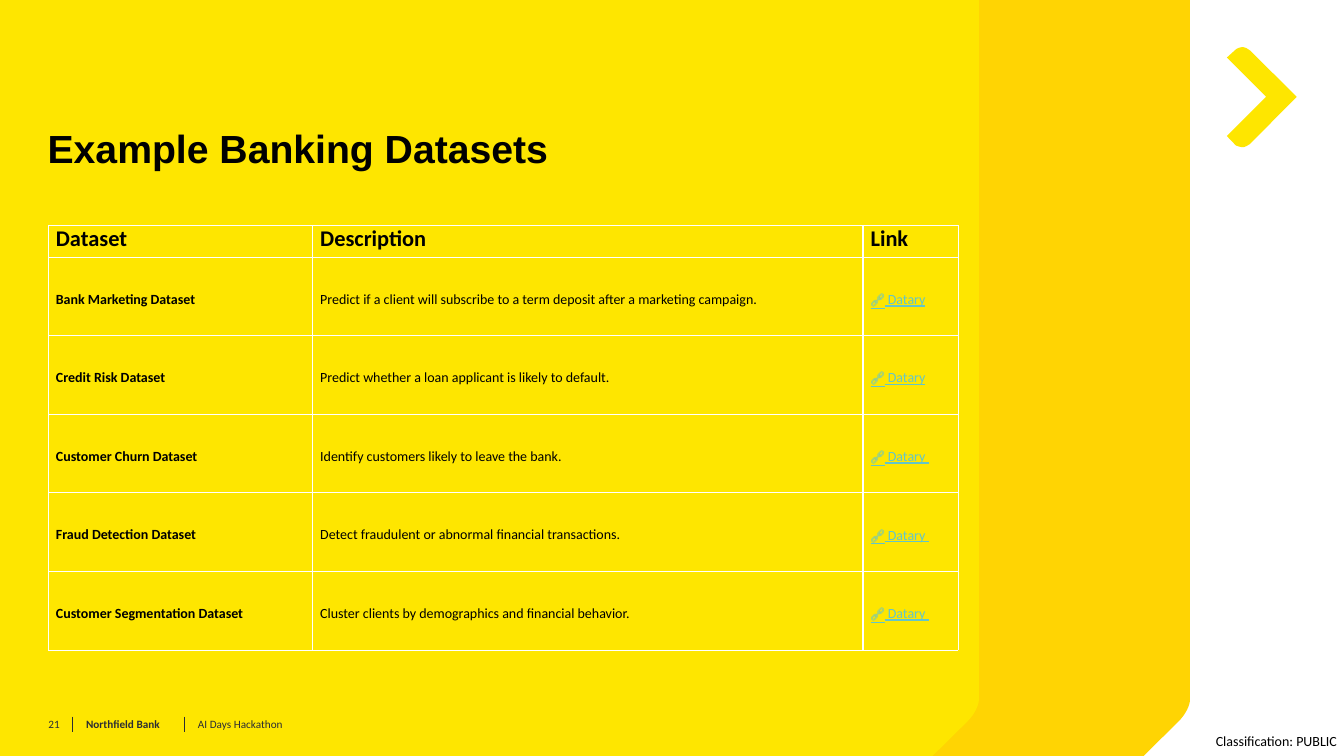
from dataclasses import dataclass

from lxml import etree
from pptx import Presentation
from pptx.dml.color import RGBColor
from pptx.enum.shapes import MSO_CONNECTOR
from pptx.enum.text import MSO_ANCHOR, PP_ALIGN
from pptx.oxml.ns import qn
from pptx.util import Cm, Pt

STRAIGHT = MSO_CONNECTOR.STRAIGHT
MIDDLE, BOTTOM = MSO_ANCHOR.MIDDLE, MSO_ANCHOR.BOTTOM
LEFT = PP_ALIGN.LEFT

# Content
TITLE = "Example Banking Datasets"
HEADERS = ("Dataset", "Description", "Link")
LINK_ICON = "🔗"
DATASETS = [
    ("Bank Marketing Dataset",
     "Predict if a client will subscribe to a term deposit after a marketing campaign.",
     " Datary"),
    ("Credit Risk Dataset", "Predict whether a loan applicant is likely to default.", " Datary"),
    ("Customer Churn Dataset", "Identify customers likely to leave the bank.", " Datary "),
    ("Fraud Detection Dataset", "Detect fraudulent or abnormal financial transactions.",
     " Datary "),
    ("Customer Segmentation Dataset", "Cluster clients by demographics and financial behavior.",
     " Datary "),
]
FOOTER = [  # text, left, width, bold
    ("21", 1.22, 0.5, False),
    ("Northfield Bank", 2.17, 2.3, True),
    ("AI Days Hackathon", 4.99, 20, False),
]
FOOTER_DIVIDERS = (1.82, 4.65)
CLASSIFICATION = "Classification: PUBLIC"

# Outlines in cm: two numbers make a line, six a curve
CHEVRON = [
    (30.92, 1.45), (31.91, 2.44), (30.92, 3.43), (31.14, 3.66),
    (31.17, 3.68, 31.27, 3.71, 31.32, 3.71),
    (31.37, 3.71, 31.42, 3.68, 31.5, 3.63),
    (32.68, 2.44), (31.5, 1.27),
    (31.45, 1.24, 31.39, 1.19, 31.32, 1.19),
    (31.24, 1.19, 31.17, 1.22, 31.12, 1.27),
]
PANEL_EDGES = (29.99, 24.67)
COLUMN_WIDTHS = (6.66, 13.87, 2.39)
HEADER_HEIGHT, ROW_HEIGHT = 0.81, 1.98
CURVE_STEPS = 8


@dataclass(frozen=True)
class Theme:
    yellow: RGBColor = RGBColor.from_string("FEE600")
    amber: RGBColor = RGBColor.from_string("FFD403")
    black: RGBColor = RGBColor.from_string("000000")
    slate: RGBColor = RGBColor.from_string("2B2D34")
    link: RGBColor = RGBColor.from_string("64C5C9")
    border: str = "FFFFFF"
    title_font: str = "Arial"
    body_font: str = "Calibri"
    icon_font: str = "Lato"
    title_size: int = 28
    header_size: int = 16
    body_size: int = 10
    footer_size: int = 8


theme = Theme()


def set_font(font, name, size, color, bold=False):
    font.name, font.size, font.bold = name, Pt(size), bold
    font.color.rgb = color


def clear_margins(frame):
    frame.margin_left = frame.margin_top = frame.margin_right = frame.margin_bottom = 0


def add_outline(slide, outline, color):
    points = []
    for step in outline:
        if len(step) == 2:
            points.append(step)
            continue
        x0, y0 = points[-1]
        x1, y1, x2, y2, x3, y3 = step
        for index in range(1, CURVE_STEPS + 1):
            t = index / CURVE_STEPS
            a, b, c, d = (1 - t) ** 3, 3 * t * (1 - t) ** 2, 3 * t * t * (1 - t), t ** 3
            points.append((a * x0 + b * x1 + c * x2 + d * x3, a * y0 + b * y1 + c * y2 + d * y3))
    vertices = [(Cm(x), Cm(y)) for x, y in points]
    builder = slide.shapes.build_freeform(*vertices[0])
    builder.add_line_segments(vertices[1:], close=True)
    shape = builder.convert_to_shape()
    shape.shadow.inherit = False
    shape.fill.solid()
    shape.fill.fore_color.rgb = color
    shape.line.fill.background()


def panel_outline(right):
    return [(0, 0), (0, 19.05), (right - 1.17, 19.05), (right - 0.3, 18.19),
            (right - 0.1, 18, right, 17.76, right, 17.63), (right, 0)]


def add_label(slide, text, left, top, width, height, size, color, bold=False):
    box = slide.shapes.add_textbox(Cm(left), Cm(top), Cm(width), Cm(height))
    frame = box.text_frame
    frame.word_wrap = True
    clear_margins(frame)
    frame.text = text
    set_font(frame.paragraphs[0].font, theme.body_font, size, color, bold)


def add_divider(slide, left):
    divider = slide.shapes.add_connector(STRAIGHT, Cm(left), Cm(18.06), Cm(left), Cm(18.44))
    divider.line.color.rgb = theme.slate
    divider.line.width = Pt(0.5)
    etree.SubElement(divider._element.spPr, qn("a:effectLst"))


def set_borders(cell, widths):
    properties = cell._tc.get_or_add_tcPr()
    for side, width in widths.items():
        line = etree.SubElement(properties, qn(f"a:ln{side}"), w=str(Pt(width)))
        fill = etree.SubElement(line, qn("a:solidFill"))
        etree.SubElement(fill, qn("a:srgbClr"), val=theme.border)


def add_dataset_table(slide):
    rows = [HEADERS, *DATASETS]
    last_row, last_column = len(rows) - 1, len(HEADERS) - 1
    heights = [HEADER_HEIGHT] + [ROW_HEIGHT] * len(DATASETS)
    table = slide.shapes.add_table(len(rows), len(HEADERS), Cm(1.22), Cm(5.67),
                                   Cm(sum(COLUMN_WIDTHS)), Cm(sum(heights))).table
    table.first_row = table.horz_banding = False
    for column, width in zip(table.columns, COLUMN_WIDTHS):
        column.width = Cm(width)
    for row, height in zip(table.rows, heights):
        row.height = Cm(height)

    for r, values in enumerate(rows):
        for c, text in enumerate(values):
            cell = table.cell(r, c)
            # Thin outside, thicker inside
            outer = {"L": c == 0, "R": c == last_column, "T": r == 0, "B": r == last_row}
            set_borders(cell, {side: 0.25 if edge else 1 for side, edge in outer.items()})
            cell.fill.background()
            cell.vertical_anchor = MIDDLE
            cell.margin_left = cell.margin_right = Cm(0.19)
            cell.margin_top = cell.margin_bottom = Cm(0.1)
            paragraph = cell.text_frame.paragraphs[0]
            paragraph.line_spacing, paragraph.space_after = Pt(16.5), Pt(8)
            if r > 0 and c == last_column:
                for part, font in ((LINK_ICON, theme.icon_font), (text, theme.body_font)):
                    run = paragraph.add_run()
                    run.text = part
                    set_font(run.font, font, theme.body_size, theme.link)
                    run.font.underline = True
            else:
                paragraph.text = text
                size = theme.header_size if r == 0 else theme.body_size
                set_font(paragraph.font, theme.body_font, size, theme.black, r == 0 or c == 0)


def add_title(slide):
    title = slide.shapes.title
    title.left, title.top, title.width, title.height = Cm(1.2), Cm(3.12), Cm(22.17), Cm(1.19)
    frame = title.text_frame
    clear_margins(frame)
    frame.vertical_anchor = BOTTOM
    frame.text = TITLE
    frame.paragraphs[0].alignment = LEFT
    set_font(frame.paragraphs[0].font, theme.title_font, theme.title_size, theme.black, True)
    # Bring the title in front of the panels
    slide.shapes._spTree.append(title._element)


def main():
    presentation = Presentation()
    presentation.slide_width, presentation.slide_height = Cm(33.87), Cm(19.05)
    slide = presentation.slides.add_slide(presentation.slide_layouts[5])

    # Background
    for right, color in zip(PANEL_EDGES, (theme.amber, theme.yellow)):
        add_outline(slide, panel_outline(right), color)
    add_outline(slide, CHEVRON, theme.yellow)

    # Footer
    for text, left, width, bold in FOOTER:
        add_label(slide, text, left, 18.08, width, 0.33, theme.footer_size, theme.slate, bold)
    for left in FOOTER_DIVIDERS:
        add_divider(slide, left)
    add_label(slide, CLASSIFICATION, 30.64, 18.45, 3.2, 0.43, theme.body_size, theme.black)

    # Main content
    add_dataset_table(slide)
    add_title(slide)

    presentation.save("out.pptx")


if __name__ == "__main__":
    main()
